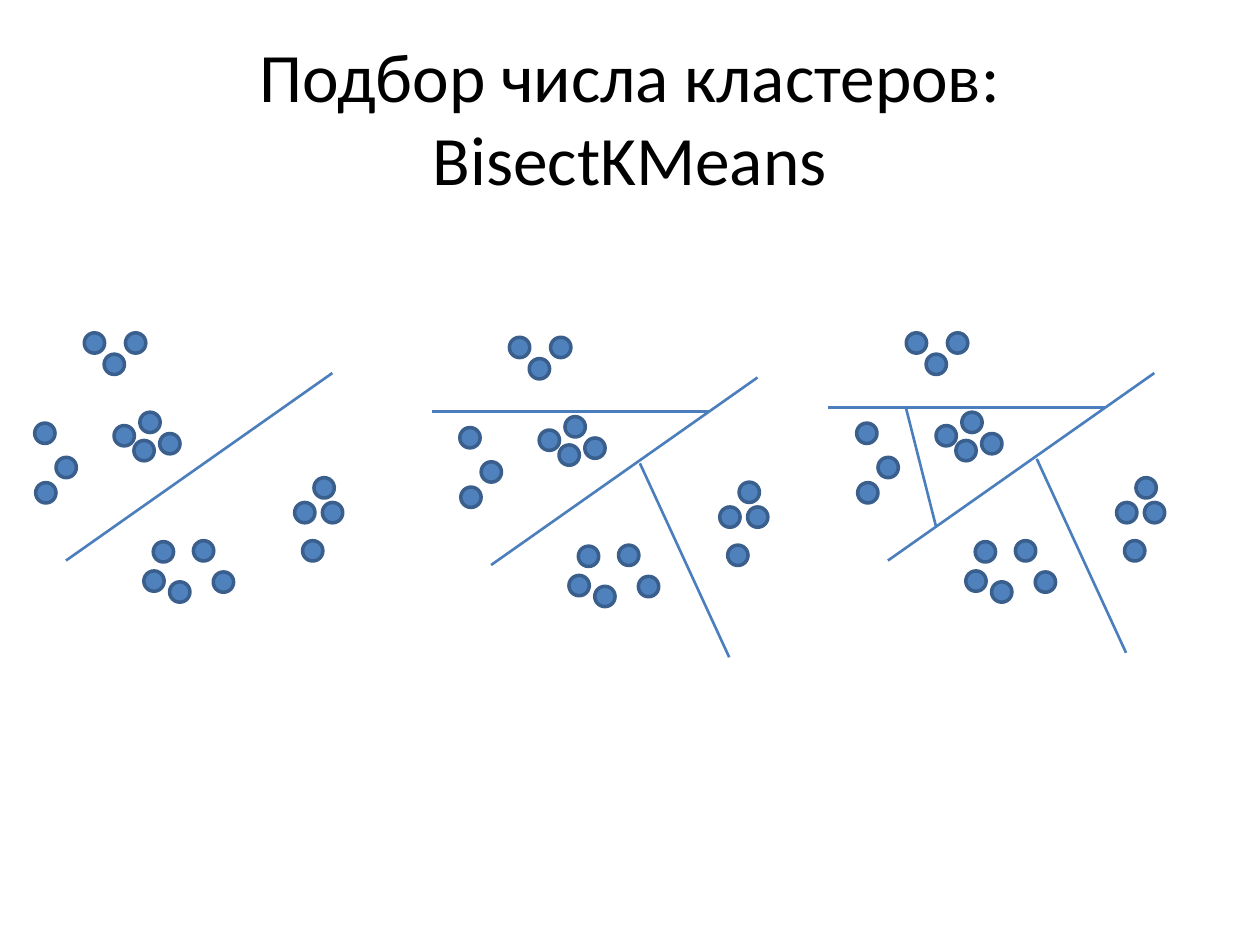
from lxml import etree
from pptx import Presentation
from pptx.dml.color import RGBColor
from pptx.enum.shapes import MSO_CONNECTOR, MSO_SHAPE
from pptx.enum.text import MSO_ANCHOR, MSO_AUTO_SIZE, PP_ALIGN
from pptx.oxml.ns import qn
from pptx.util import Cm, Pt

OVAL = MSO_SHAPE.OVAL
STRAIGHT = MSO_CONNECTOR.STRAIGHT
MIDDLE = MSO_ANCHOR.MIDDLE
NO_AUTOFIT = MSO_AUTO_SIZE.NONE
CENTER = PP_ALIGN.CENTER

# Content: all lengths in centimetres
TITLE = "Подбор числа кластеров: BisectKMeans"
TITLE_AREA = (1.27, 0.76, 22.86, 3.18)
DOT_SIZE = 0.41

# Top left corners of the dots, one list per cluster
CLUSTERS = [
    [(0.7, 8.53), (0.72, 9.73), (1.13, 9.22)],
    [(2.3, 8.58), (2.7, 8.88), (2.82, 8.31), (3.22, 8.74)],
    [(3.09, 10.92), (3.9, 10.9), (3.42, 11.73), (2.9, 11.51), (4.3, 11.53)],
    [(2.1, 7.14), (1.7, 6.71), (2.53, 6.71)],
    [(6.5, 10.13), (6.1, 10.9), (5.94, 10.13), (6.33, 9.63)],
]

# Lines that split the plane, in the order the algorithm adds them
SPLITS = [
    ((1.33, 11.3), (6.7, 7.52)),
    ((4.33, 9.25), (6.13, 13.16)),
    ((0.13, 8.21), (5.72, 8.21)),
    ((1.69, 8.21), (2.3, 10.62)),
]

# Steps: shift of the panel and number of splits made so far
STEPS = [((0, 0), 1), ((8.57, 0.09), 3), ((16.57, 0), 4)]

THEME = {
    "font": "Calibri",
    "title_size": Pt(39.6),
    "text": RGBColor(0x00, 0x00, 0x00),
    "dot_fill": RGBColor(0x4F, 0x81, 0xBD),
    "dot_line": RGBColor(0x3A, 0x5F, 0x8C),
    "dot_width": Pt(2),
    "split_line": RGBColor(0x4B, 0x7E, 0xBC),
    "split_width": Pt(1.5),
}


def write_text(box, text, *, size, color, align=CENTER, anchor=MIDDLE):
    frame = box.text_frame
    frame.word_wrap = True
    frame.auto_size = NO_AUTOFIT
    frame.vertical_anchor = anchor
    para = frame.paragraphs[0]
    para.alignment = align
    span = para.add_run()
    span.text = text
    span.font.name = THEME["font"]
    span.font.size = size
    span.font.color.rgb = color


def add_dot(page, left, top):
    dot = page.shapes.add_shape(OVAL, Cm(left), Cm(top), Cm(DOT_SIZE), Cm(DOT_SIZE))
    dot.shadow.inherit = False
    dot.fill.solid()
    dot.fill.fore_color.rgb = THEME["dot_fill"]
    dot.line.color.rgb = THEME["dot_line"]
    dot.line.width = THEME["dot_width"]


def add_split(page, start, end):
    split = page.shapes.add_connector(STRAIGHT, *map(Cm, start + end))
    split.line.color.rgb = THEME["split_line"]
    split.line.width = THEME["split_width"]
    etree.SubElement(split._element.spPr, qn("a:effectLst"))


def add_panel(page, shift, split_count):
    def place(point):
        return point[0] + shift[0], point[1] + shift[1]

    for cluster in CLUSTERS:
        for point in cluster:
            add_dot(page, *place(point))
    for start, end in SPLITS[:split_count]:
        add_split(page, place(start), place(end))


def main():
    deck = Presentation()
    deck.slide_width, deck.slide_height = Cm(25.4), Cm(19.05)
    page = deck.slides.add_slide(deck.slide_layouts.get_by_name("Title Only"))

    # Title
    title = page.shapes.title
    title.left, title.top, title.width, title.height = map(Cm, TITLE_AREA)
    write_text(title, TITLE, size=THEME["title_size"], color=THEME["text"])

    # One panel per step of the algorithm
    for shift, split_count in STEPS:
        add_panel(page, shift, split_count)

    deck.save("out.pptx")


if __name__ == "__main__":
    main()
